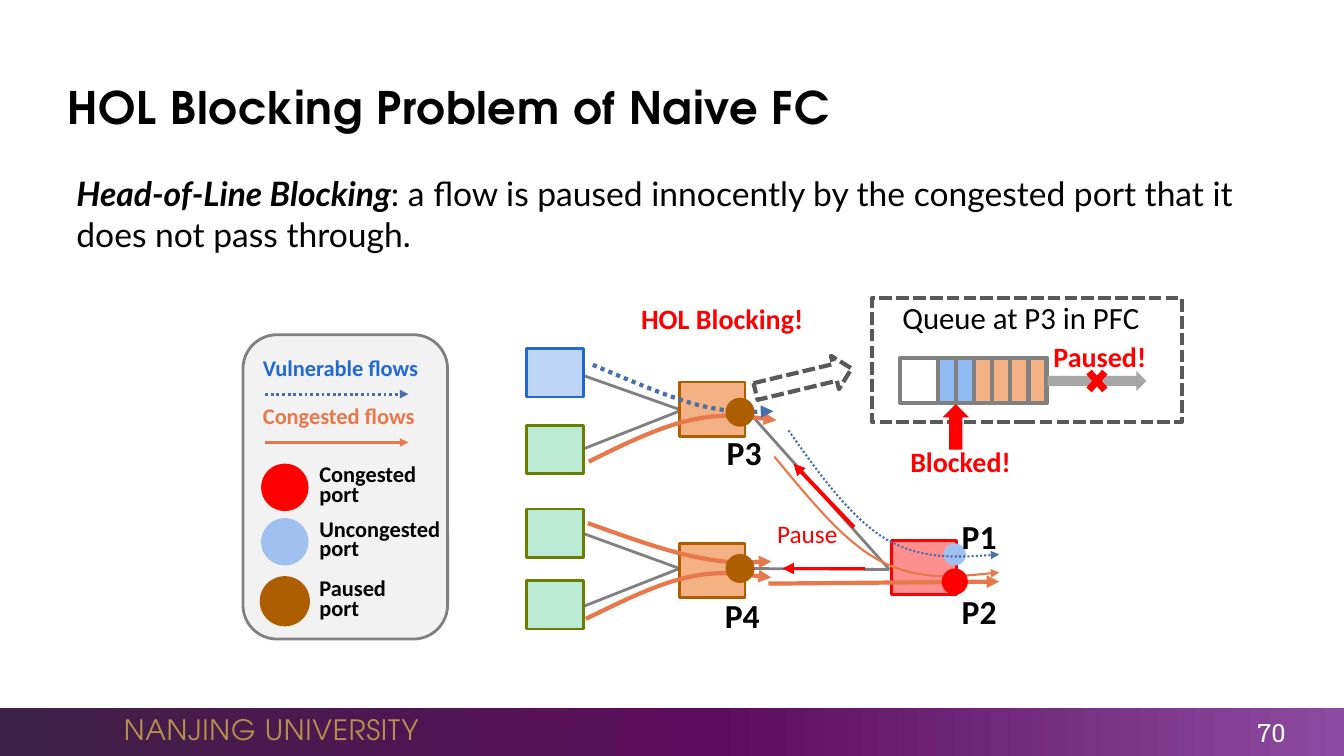
from copy import deepcopy

from lxml.etree import SubElement
from pptx import Presentation
from pptx.dml.color import RGBColor
from pptx.enum.dml import MSO_LINE
from pptx.enum.shapes import MSO_CONNECTOR, MSO_SHAPE as SHAPE
from pptx.enum.text import MSO_ANCHOR as ANCHOR, PP_ALIGN as ALIGN
from pptx.oxml.ns import qn
from pptx.util import Inches, Pt

BLACK = RGBColor(0x00, 0x00, 0x00)
WHITE = RGBColor(0xFF, 0xFF, 0xFF)
RED = RGBColor(0xFF, 0x00, 0x00)
PINK = RGBColor(0xFF, 0x8F, 0x8F)
GRAY = RGBColor(0x80, 0x80, 0x80)
DARK_GRAY = RGBColor(0x59, 0x59, 0x59)
MID_GRAY = RGBColor(0xA6, 0xA6, 0xA6)
PALE_GRAY = RGBColor(0xF2, 0xF2, 0xF2)
BLUE = RGBColor(0x21, 0x69, 0xD3)
FLOW_BLUE = RGBColor(0x47, 0x6F, 0xAA)
PORT_BLUE = RGBColor(0xA0, 0xC0, 0xF0)
CELL_BLUE = RGBColor(0x91, 0xBB, 0xF3)
HOST_BLUE = RGBColor(0xBF, 0xD5, 0xF5)
ORANGE = RGBColor(0xE8, 0x77, 0x4A)
PEACH = RGBColor(0xF4, 0xB1, 0x83)
BROWN = RGBColor(0xAD, 0x5E, 0x00)
GREEN = RGBColor(0x6C, 0x7E, 0x00)
MINT = RGBColor(0xBB, 0xEA, 0xD5)
GOLD = RGBColor(0xB8, 0x8F, 0x4C)
BAND = [(0, RGBColor(0x3E, 0x21, 0x46)), (0.53, RGBColor(0x5C, 0x0C, 0x5C)),
        (1, RGBColor(0x8C, 0x4B, 0xA0))]
DOTTED, DASHED = MSO_LINE.ROUND_DOT, MSO_LINE.SQUARE_DOT


def style_line(line, color, width, dash=None, arrow=False):
    """Set colour, width, dash and arrowhead of a line."""
    line.color.rgb = color
    line.width = Pt(width)
    if dash:
        line.dash_style = dash
    if arrow:
        SubElement(line._get_or_add_ln(), qn("a:tailEnd"), type="triangle")


def add_figure(slide, kind, box, fill=None, line=None, rotation=0):
    """Add a preset shape; line is (colour, width[, dash])."""
    shape = slide.shapes.add_shape(kind, *map(Inches, box))
    shape.shadow.inherit = False
    shape.rotation = rotation
    if fill is None:
        shape.fill.background()
    else:
        shape.fill.solid()
        shape.fill.fore_color.rgb = fill
    if line:
        style_line(shape.line, *line)
    else:
        shape.line.fill.background()
    return shape


def add_text(slide, box, lines, size, color=BLACK, bold=False, font="Calibri", wrap=True,
             align=ALIGN.LEFT, anchor=ANCHOR.TOP, leading=None, tracking=None):
    """Add a text box with one paragraph per line, each a list of runs."""
    frame = slide.shapes.add_textbox(*map(Inches, box)).text_frame
    frame.word_wrap = wrap
    frame.vertical_anchor = anchor
    for index, runs in enumerate(lines):
        paragraph = frame.add_paragraph() if index else frame.paragraphs[0]
        paragraph.alignment = align
        if leading:
            paragraph.line_spacing = Pt(leading)
        for text in runs:
            paragraph.add_run().text = text
        paragraph.font.size = Pt(size)
        paragraph.font.name = font
        paragraph.font.bold = bold
        paragraph.font.color.rgb = color
        if tracking:
            paragraph._p.get_or_add_pPr().get_or_add_defRPr().set("spc", str(tracking))
    return frame


def add_line(slide, start, end, color, width, dash=None, arrow=False):
    """Add a straight line or arrow."""
    connector = slide.shapes.add_connector(
        MSO_CONNECTOR.STRAIGHT, *map(Inches, (*start, *end)))
    style_line(connector.line, color, width, dash, arrow)
    SubElement(connector._element.spPr, qn("a:effectLst"))


def add_curve(slide, points, color, width, dash=None):
    """Add a curved arrow through Bezier points: a start, then triples."""
    places = [(Inches(x), Inches(y)) for x, y in points]
    builder = slide.shapes.build_freeform(*places[0])
    builder.add_line_segments(places[1:], close=False)
    shape = builder.convert_to_shape()
    shape.shadow.inherit = False
    shape.fill.background()
    style_line(shape.line, color, width, dash, arrow=True)
    outline = next(shape._element.iter(qn("a:path")))
    segments = outline.findall(qn("a:lnTo"))
    for first in range(0, len(segments), 3):
        cubic = SubElement(outline, qn("a:cubicBezTo"))
        for segment in segments[first:first + 3]:
            cubic.append(segment[0])
            outline.remove(segment)


def add_frame(slide):
    """Add the footer band, page number, title and definition."""
    band = add_figure(slide, SHAPE.RECTANGLE, (0, 7.02, 13.33, 0.48), WHITE)
    band.fill.gradient()
    band.fill.gradient_angle = 0
    stops = next(band._element.iter(qn("a:gsLst")))
    stops.append(deepcopy(stops[-1]))
    for stop, (position, color) in zip(band.fill.gradient_stops, BAND):
        stop.position = position
        stop.color.rgb = color
    add_text(slide, (1.13, 7.02, 3.17, 0.44), [["NANJING UNIVERSITY"]], 20, GOLD,
             font="TeX Gyre Adventor", wrap=False, anchor=ANCHOR.MIDDLE, tracking=50)
    add_text(slide, (11.79, 7.09, 1.06, 0.35), [["70"]], 18, WHITE,
             font="Roboto Slab", align=ALIGN.RIGHT, anchor=ANCHOR.MIDDLE)
    add_text(slide, (0.57, 0.67, 12, 0.77), [["HOL Blocking Problem of Naive FC"]], 32,
             bold=True, font="TeX Gyre Adventor", anchor=ANCHOR.MIDDLE, tracking=50)
    definition = add_text(
        slide, (0.66, 1.67, 11.9, 0.91),
        [["Head-of-Line Blocking", ": a flow is paused innocently by the congested "
          "port that it does not pass through."]], 24, font="Lato")
    term = definition.paragraphs[0].runs[0].font
    term.bold = term.italic = True


def add_legend(slide):
    """Add the legend of flows and ports."""
    add_figure(slide, SHAPE.ROUNDED_RECTANGLE, (2.41, 3.32, 2.03, 3.02), PALE_GRAY, (GRAY, 2))
    for name, top, text_color, line_color, dash in [
            ("Vulnerable flows", 3.46, BLUE, FLOW_BLUE, DOTTED),
            ("Congested flows", 3.94, ORANGE, ORANGE, None)]:
        add_text(slide, (2.51, top, 1.76, 0.37), [[name]], 16, text_color, bold=True)
        add_line(slide, (2.63, top + 0.45), (4.05, top + 0.45), line_color, 2, dash, arrow=True)
    for lines, top, color, line in [([["Congested port"]], 4.6, RED, None),
                                    ([["Uncongested port"]], 5.14, PORT_BLUE, None),
                                    ([["Paused"], ["port"]], 5.73, BROWN, (BROWN, 2))]:
        add_figure(slide, SHAPE.OVAL, (2.59, top, 0.47, 0.47), color, line)
        add_text(slide, (3.07, top - 0.01, 1.43, 0.5), lines, 16, bold=True, leading=14)


def add_network(slide):
    """Add hosts, switches, links, flows and ports."""
    for start, end in [((8.82, 5.65), (7.41, 4.07)), ((7.39, 5.64), (8.82, 5.65)),
                       ((6.76, 4.07), (5.77, 3.72)), ((6.76, 4.07), (5.77, 4.46)),
                       ((6.74, 5.64), (5.75, 5.28)), ((6.74, 5.64), (5.75, 6.03))]:
        add_line(slide, start, end, GRAY, 2)
    for left, top, fill, edge in [(8.84, 5.36, PINK, RED), (6.74, 3.79, PEACH, BROWN),
                                  (6.74, 5.39, PEACH, BROWN)]:
        add_figure(slide, SHAPE.RECTANGLE, (left, top, 0.65, 0.54), fill, (edge, 2))
    add_line(slide, (7.62, 5.79), (9.91, 5.77), ORANGE, 3, arrow=True)
    for width, points in [
            (1.5, [(7.68, 4.53), (8.03, 4.95), (8.37, 5.38), (8.74, 5.57),
                   (9.11, 5.76), (9.51, 5.72), (9.91, 5.68)]),
            (3, [(5.84, 4.58), (6.18, 4.41), (6.53, 4.24), (6.84, 4.17),
                 (7.15, 4.1), (7.42, 4.13), (7.7, 4.17)]),
            (3, [(5.83, 5.19), (6.22, 5.33), (6.61, 5.47), (6.92, 5.53),
                 (7.22, 5.59), (7.43, 5.58), (7.65, 5.57)]),
            (3, [(5.81, 6.14), (6.16, 5.97), (6.5, 5.8), (6.81, 5.73),
                 (7.11, 5.66), (7.38, 5.7), (7.65, 5.73)])]:
        add_curve(slide, points, ORANGE, width)
    add_figure(slide, SHAPE.OVAL, (9.34, 5.64, 0.26, 0.26), RED)
    add_figure(slide, SHAPE.OVAL, (9.36, 5.39, 0.22, 0.22), PORT_BLUE)
    for width, points in [
            (1.5, [(7.82, 4.27), (8.13, 4.71), (8.44, 5.14), (8.79, 5.35),
                   (9.14, 5.55), (9.52, 5.53), (9.91, 5.5)]),
            (3, [(5.88, 3.62), (6.26, 3.78), (6.63, 3.94), (6.93, 4.02),
                 (7.23, 4.09), (7.45, 4.09), (7.67, 4.08)])]:
        add_curve(slide, points, FLOW_BLUE, width, DOTTED)
    for top, fill, edge in [(3.46, HOST_BLUE, BLUE), (4.22, MINT, GREEN),
                            (5.05, MINT, GREEN), (5.76, MINT, GREEN)]:
        add_figure(slide, SHAPE.RECTANGLE, (5.22, top, 0.57, 0.48), fill, (edge, 2))
    for top in (3.96, 5.51):
        add_figure(slide, SHAPE.OVAL, (7.21, top, 0.26, 0.26), BROWN, (BROWN, 2))
    for start, end in [((8.47, 5.23), (7.87, 4.6)), ((8.58, 5.64), (7.76, 5.64))]:
        add_line(slide, start, end, RED, 2.75, arrow=True)
    for name, left, top in [("P1", 9.44, 5.07), ("P2", 9.44, 5.81),
                            ("P3", 7.11, 4.24), ("P4", 7.09, 5.85)]:
        add_text(slide, (left, top, 0.97, 0.5), [[name]], 24, bold=True)
    add_text(slide, (7.61, 5.09, 0.8, 0.4), [["Pause"]], 18, RED, wrap=False)


def add_queue(slide):
    """Add the queue at P3 with its callouts."""
    add_figure(slide, SHAPE.RECTANGLE, (8.65, 2.96, 3.07, 1.23), line=(DARK_GRAY, 3, DASHED))
    add_figure(slide, SHAPE.RECTANGLE, (8.93, 3.55, 1.45, 0.45), line=(GRAY, 3))
    for index, fill in enumerate([CELL_BLUE] * 2 + [PEACH] * 4):
        add_figure(slide, SHAPE.RECTANGLE, (9.3 + 0.18 * index, 3.55, 0.18, 0.45),
                   fill, (GRAY, 3))
    add_text(slide, (8.79, 3.06, 2.67, 0.35), [["Queue at P3 in PFC"]], 22,
             align=ALIGN.CENTER, leading=16)
    add_figure(slide, SHAPE.RIGHT_ARROW, (7.48, 3.6, 0.98, 0.34),
               line=(DARK_GRAY, 3, DASHED), rotation=346.5)
    add_figure(slide, SHAPE.RIGHT_ARROW, (10.39, 3.68, 0.98, 0.2), MID_GRAY)
    add_figure(slide, SHAPE.MATH_MULTIPLY, (10.73, 3.61, 0.3, 0.34), RED)
    add_figure(slide, SHAPE.UP_ARROW, (9.35, 4.01, 0.26, 0.45), RED)
    for text, left, top, width in [("HOL Blocking!", 6.26, 2.94, 1.82),
                                   ("Paused!", 10.35, 3.32, 1.13),
                                   ("Blocked!", 8.93, 4.36, 1.21)]:
        add_text(slide, (left, top, width, 0.44), [[text]], 20, RED, bold=True, wrap=False)


def main():
    """Build and save the slide."""
    presentation = Presentation()
    presentation.slide_width = Inches(13.33)
    presentation.slide_height = Inches(7.5)
    slide = presentation.slides.add_slide(presentation.slide_layouts[6])
    add_frame(slide)
    add_legend(slide)
    add_network(slide)
    add_queue(slide)
    presentation.save("out.pptx")


if __name__ == "__main__":
    main()
